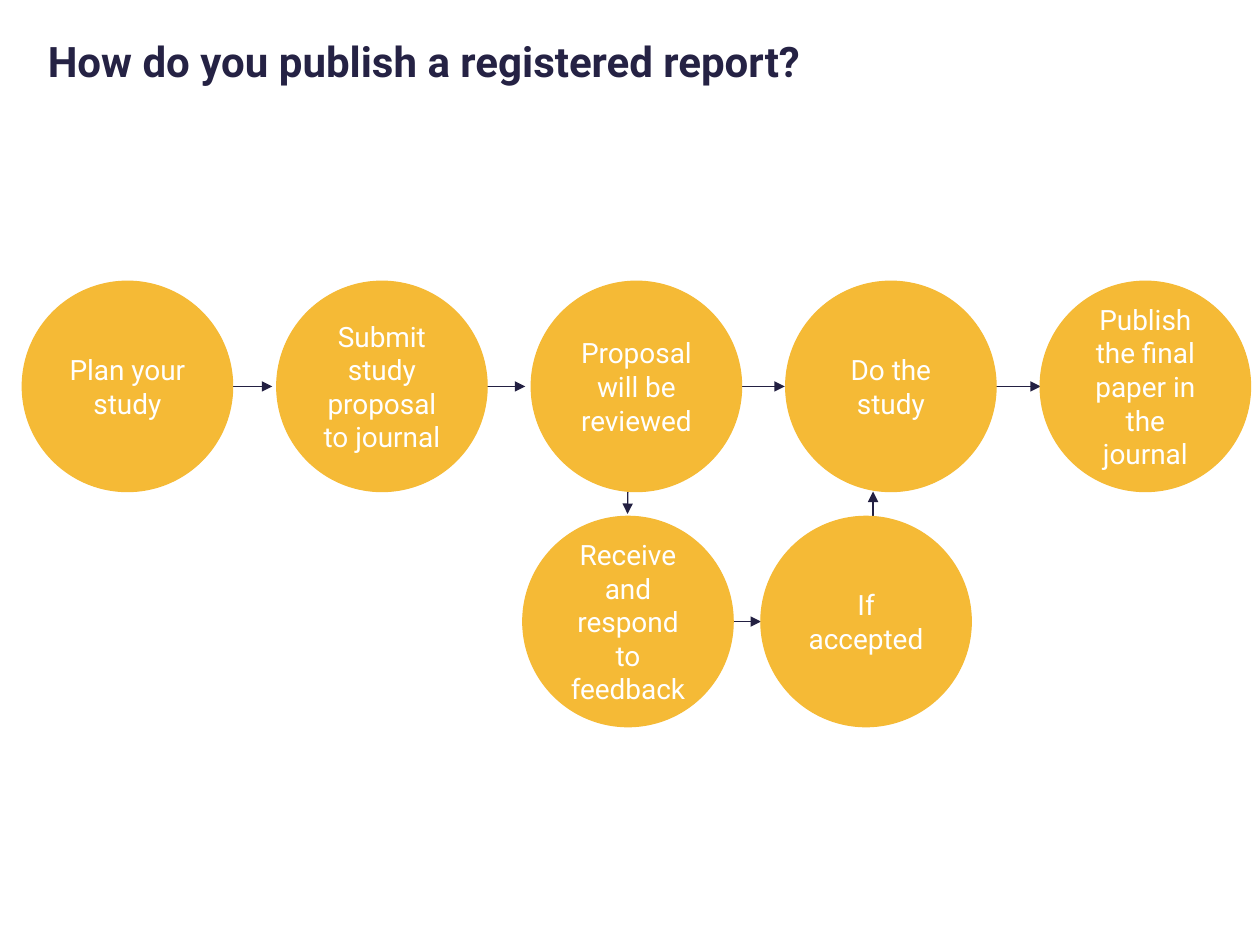
from dataclasses import dataclass

from lxml.etree import SubElement
from pptx import Presentation
from pptx.dml.color import RGBColor as Color
from pptx.enum.shapes import MSO_CONNECTOR as Connector, MSO_SHAPE as Shape
from pptx.enum.text import MSO_ANCHOR as Anchor, MSO_AUTO_SIZE as AutoSize, PP_ALIGN as Align
from pptx.oxml.ns import qn
from pptx.util import Cm, Pt

TITLE_ONLY_LAYOUT = 5


@dataclass(frozen=True)
class Theme:
    font: str = "Roboto"
    title_color: Color = Color(0x25, 0x22, 0x44)
    arrow_color: Color = Color(0x23, 0x20, 0x42)
    circle_color: Color = Color(0xF5, 0xBA, 0x36)
    label_color: Color = Color(0xFF, 0xFF, 0xFF)
    title_size: Pt = Pt(24)
    label_size: Pt = Pt(16)
    line_width: Pt = Pt(0.75)


class FlowSlide:
    """Draws the parts of a flow chart on one slide; lengths are in centimetres."""

    def __init__(self, slide, theme):
        self.slide = slide
        self.theme = theme

    def format_paragraph(self, paragraph, size, color, alignment, bold=False):
        paragraph.alignment = alignment
        font = paragraph.font
        font.name, font.size, font.bold = self.theme.font, size, bold
        font.color.rgb = color

    def add_title(self, text, left, top, width, height):
        title = self.slide.shapes.title
        title.left, title.top = Cm(left), Cm(top)
        title.width, title.height = Cm(width), Cm(height)
        frame = title.text_frame
        frame.text = text
        frame.auto_size = AutoSize.NONE
        frame.vertical_anchor = Anchor.TOP
        paragraph = frame.paragraphs[0]
        paragraph.line_spacing = 0.9
        self.format_paragraph(paragraph, self.theme.title_size, self.theme.title_color,
                              Align.LEFT, bold=True)

    def add_arrow(self, start, end):
        arrow = self.slide.shapes.add_connector(
            Connector.STRAIGHT, *map(Cm, start), *map(Cm, end))
        arrow.line.color.rgb = self.theme.arrow_color
        arrow.line.width = self.theme.line_width
        properties = arrow.element.spPr
        SubElement(properties.find(qn("a:ln")), qn("a:tailEnd"), type="triangle")
        SubElement(properties, qn("a:effectLst"))

    def add_circle(self, text, left, top, diameter):
        circle = self.slide.shapes.add_shape(
            Shape.OVAL, Cm(left), Cm(top), Cm(diameter), Cm(diameter))
        circle.shadow.inherit = False
        circle.fill.solid()
        circle.fill.fore_color.rgb = self.theme.circle_color
        circle.line.color.rgb = self.theme.circle_color
        circle.line.width = self.theme.line_width
        frame = circle.text_frame
        frame.text = text
        frame.word_wrap = True
        frame.vertical_anchor = Anchor.MIDDLE
        self.format_paragraph(frame.paragraphs[0], self.theme.label_size,
                              self.theme.label_color, Align.CENTER)


def main():
    presentation = Presentation()
    presentation.slide_width, presentation.slide_height = Cm(25.4), Cm(19.05)
    layout = presentation.slide_layouts[TITLE_ONLY_LAYOUT]
    flow = FlowSlide(presentation.slides.add_slide(layout), Theme())
    flow.add_title("How do you publish a registered report?", 0.71, 0.71, 23.95, 2.24)

    diameter = 4.24
    main_left, main_top, main_step = 0.45, 5.67, 5.13
    review_left, review_top, review_step = 10.54, 10.41, 4.8
    main_middle = main_top + diameter / 2
    review_middle = review_top + diameter / 2

    main_arrows = [(4.69, 5.49), (9.47, 10.59), (14.81, 15.82), (19.58, 20.98)]
    for start, end in main_arrows:
        flow.add_arrow((start, main_middle), (end, main_middle))
    flow.add_arrow((12.67, 9.09), (12.65, 10.36))
    flow.add_arrow((review_left + diameter, review_middle),
                   (review_left + review_step, review_middle))
    flow.add_arrow((17.6, review_top), (17.6, main_top + diameter))

    main_steps = ["Plan your study", "Submit study proposal to journal",
                  "Proposal will be reviewed", "Do the study",
                  "Publish the final paper in the journal"]
    review_steps = ["Receive and respond to feedback", "If accepted"]
    for labels, left, top, step in [(main_steps, main_left, main_top, main_step),
                                    (review_steps, review_left, review_top, review_step)]:
        for index, label in enumerate(labels):
            flow.add_circle(label, left + index * step, top, diameter)

    presentation.save("out.pptx")


if __name__ == "__main__":
    main()
